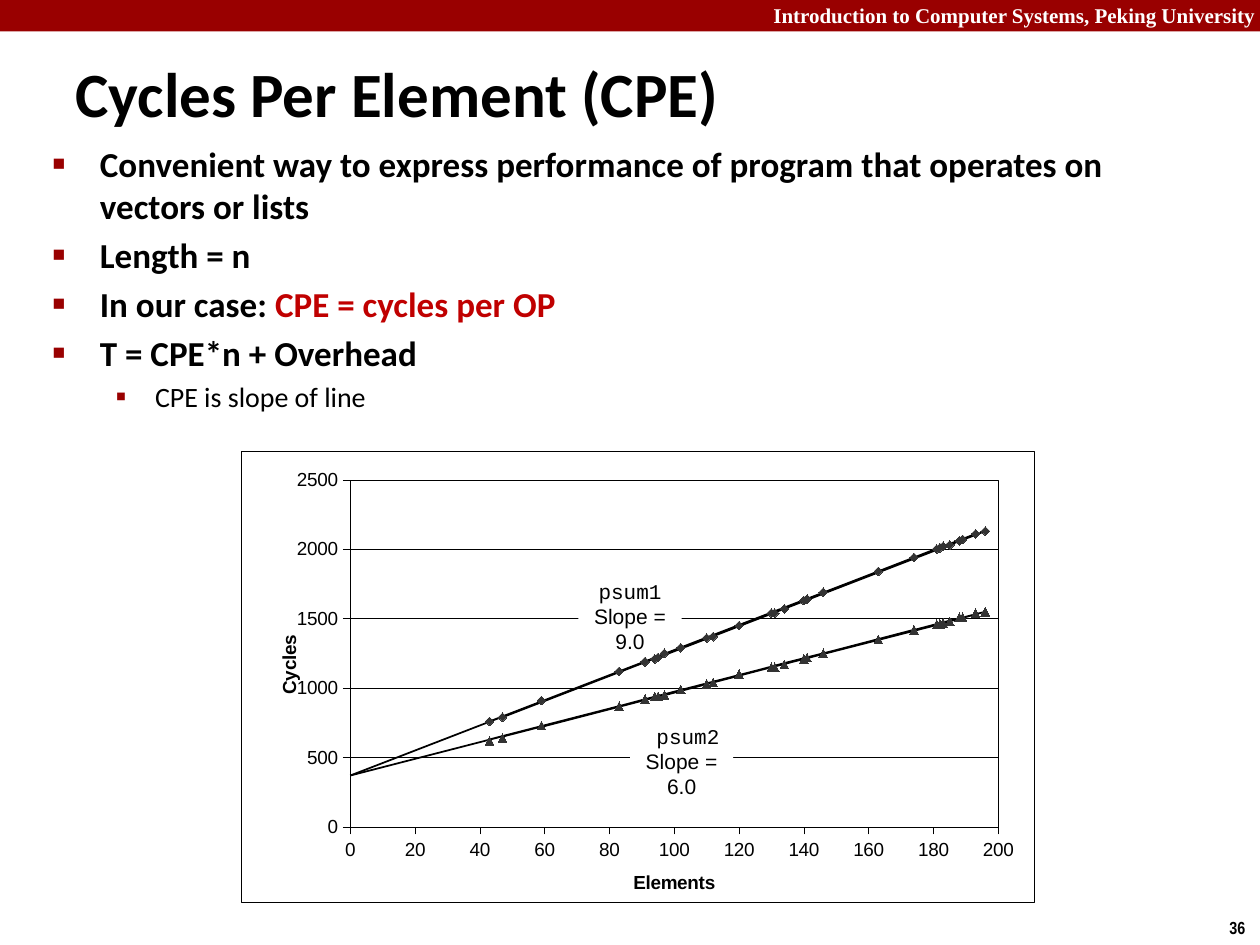
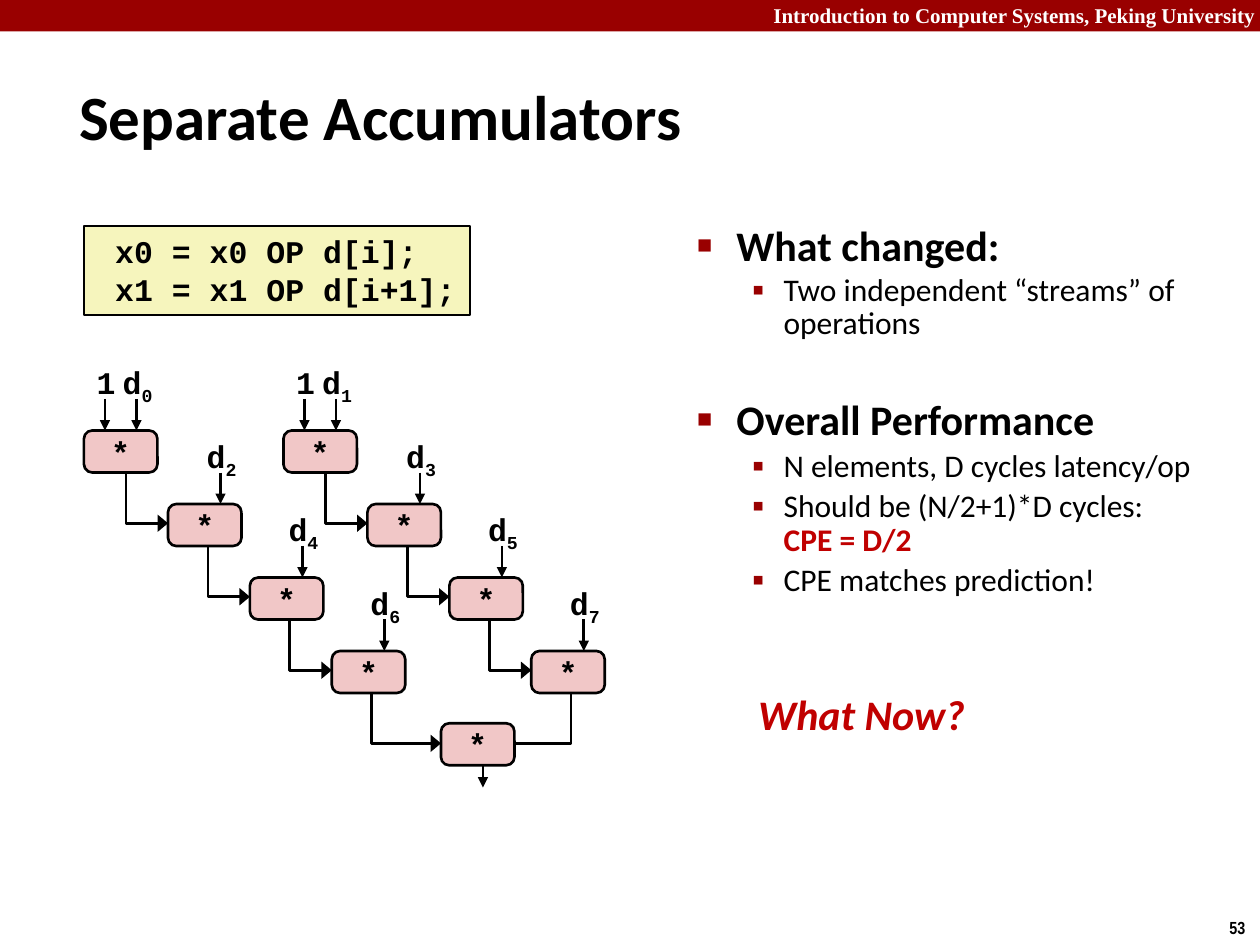
from dataclasses import dataclass
from itertools import pairwise

from lxml.etree import SubElement
from pptx import Presentation
from pptx.chart.data import XyChartData
from pptx.dml.color import RGBColor
from pptx.enum.chart import XL_CHART_TYPE, XL_MARKER_STYLE, XL_TICK_MARK
from pptx.enum.shapes import MSO_CONNECTOR, MSO_SHAPE
from pptx.enum.text import MSO_ANCHOR, PP_ALIGN
from pptx.oxml import parse_xml
from pptx.oxml.ns import nsdecls, qn
from pptx.util import Pt


@dataclass(frozen=True)
class Theme:
    band: str = "990000"
    accent: str = "C00000"
    ink: str = "000000"
    paper: str = "FFFFFF"
    node: str = "F1C7C7"
    code: str = "F6F5BD"
    marker: str = "333333"
    body_font: str = "Calibri"
    code_font: str = "Courier New"
    chart_font: str = "Arial"
    header_font: str = "Times New Roman"
    number_font: str = "Arial Narrow"
    title_size: float = 36
    callout_size: float = 24
    code_size: float = 18
    label_size: float = 12
    number_size: float = 10
    chart_size: float = 10.8


@dataclass(frozen=True)
class Level:
    depth: int
    size: float
    indent: float
    hang: float


T = Theme()
HEADER = "Introduction to Computer Systems, Peking University"
BULLETS = (("■", 60), ("▪", 110))

CPE_LEVELS = (Level(0, 20, 27, 27), Level(1, 16, 58.5, 22.5))
CPE_POINTS = [
    (0, [("Convenient way to express performance of program that operates on vectors or lists", False)], 0, 1),
    (0, [("Length = n", False)], 4, 1),
    (0, [("In our case: ", False), ("CPE = cycles per OP", True)], 4, 1),
    (0, [("T = CPE*n + Overhead", False)], 4, 1),
    (1, [("CPE is slope of line", False)], 3.5, 1),
]

ELEMENTS = (0, 193, 120, 91, 95, 196, 97, 181, 91, 83, 43, 183, 140, 146, 94, 134, 163, 131, 110, 182,
            189, 112, 141, 185, 188, 47, 130, 102, 59, 174)
CYCLES = [
    ("Series 1", XL_MARKER_STYLE.DIAMOND,
     (None, 2110, 1450, 1190, 1220, 2130, 1250, 2000, 1190, 1120, 760, 2020, 1630, 1690, 1210, 1570, 1840,
      1540, 1360, 2010, 2070, 1370, 1640, 2030, 2060, 790, 1540, 1290, 910, 1940)),
    ("Series 2", None,
     (370, 2110, 1450, 1190, 1220, 2130, 1240, 2000, 1190, 1120, 760, 2020, 1630, 1680, 1220, 1580, 1840,
      1550, 1360, 2010, 2070, 1380, 1640, 2040, 2060, 790, 1540, 1290, 900, 1940)),
    ("Series 3", XL_MARKER_STYLE.TRIANGLE,
     (None, 1540, 1100, 920, 940, 1550, 950, 1460, 920, 870, 620, 1470, 1210, 1250, 940, 1170, 1350,
      1150, 1030, 1460, 1510, 1040, 1220, 1480, 1510, 640, 1150, 990, 730, 1420)),
    ("Series 4", None,
     (370, 1530, 1090, 920, 940, 1550, 950, 1460, 920, 870, 630, 1470, 1210, 1250, 930, 1180, 1350,
      1160, 1030, 1460, 1510, 1040, 1220, 1480, 1500, 650, 1150, 980, 720, 1420)),
]
SLOPES = [("psum1", "Slope = 9.0", 330.5, 328.3), (" psum2", "Slope = 6.0", 360, 411.1)]

CODE = (" x0 = x0 OP d[i];", " x1 = x1 OP d[i+1];")
STREAM_LEVELS = (Level(0, 24, 22.5, 22.5), Level(1, 18, 49.5, 18))
STREAM_POINTS = [
    (0, [("What changed:", False)], 0, 0.85),
    (1, [("Two independent “streams” of operations", False)], 3.6, 0.85),
    (0, [("Overall Performance", False)], 34.5, 0.85),
    (1, [("N elements, D cycles latency/op", False)], 3.6, 0.9),
    (1, [("Should be (N/2+1)*D cycles:\n", False), ("CPE = D/2", True)], 3.4, 0.9),
    (1, [("CPE matches prediction!", False)], 3.4, 0.9),
]
CHAINS = [(48, "0246"), (162, "1357")]
NODE_OFFSETS = (0, 48, 94.8, 141.6)
NODE_TOP, NODE_PITCH, NODE_W, NODE_H = 246, 42, 42, 24
MERGE = (252, 413.3)


def rgb(color):
    return RGBColor.from_string(color)


def add_run(p, text, font, size, color=T.ink, bold=True, italic=False):
    r = p.add_run()
    r.text = text
    f = r.font
    f.name, f.size, f.bold, f.italic = font, Pt(size), bold, italic
    f.color.rgb = rgb(color)
    return r


def set_frame(tf, insets=(7.2, 3.6, 7.2, 3.6), wrap=True, anchor=MSO_ANCHOR.TOP):
    tf.margin_left, tf.margin_top, tf.margin_right, tf.margin_bottom = map(Pt, insets)
    tf.word_wrap = wrap
    tf.vertical_anchor = anchor
    return tf


def add_text(s, box, **frame):
    return set_frame(s.shapes.add_textbox(*map(Pt, box)).text_frame, **frame)


def set_line(sp, width=1.5, arrow=None):
    sp.line.color.rgb = rgb(T.ink)
    sp.line.width = Pt(width)
    if arrow:
        SubElement(sp.element.spPr.find(qn("a:ln")), qn("a:tailEnd"), type="triangle", w=arrow)


def add_box(s, box, fill, kind=MSO_SHAPE.RECTANGLE, line=None):
    sp = s.shapes.add_shape(kind, *map(Pt, box))
    sp.shadow.inherit = False
    sp.fill.solid()
    sp.fill.fore_color.rgb = rgb(fill)
    if line:
        set_line(sp, line)
    else:
        sp.line.fill.background()
    return sp


def add_arrow(s, x, top, bottom):
    c = s.shapes.add_connector(MSO_CONNECTOR.STRAIGHT, Pt(x), Pt(top), Pt(x), Pt(bottom))
    set_line(c, arrow="med")
    SubElement(c.element.spPr, qn("a:effectLst"))


def add_elbow(s, x, top, end_x, end_y, arrow="lg"):
    fb = s.shapes.build_freeform(Pt(x), Pt(top))
    fb.add_line_segments([(Pt(x), Pt(end_y)), (Pt(end_x), Pt(end_y))], close=False)
    sp = fb.convert_to_shape()
    sp.shadow.inherit = False
    sp.fill.background()
    set_line(sp, arrow=arrow)


def add_points(s, box, points, levels):
    tf = add_text(s, box)
    for i, (depth, runs, before, spacing) in enumerate(points):
        level = levels[depth]
        p = tf.paragraphs[0] if i == 0 else tf.add_paragraph()
        p.level = depth
        p.space_before = Pt(before)
        p.line_spacing = spacing
        ppr = p._p.get_or_add_pPr()
        ppr.set("marL", str(Pt(level.indent)))
        ppr.set("indent", str(-Pt(level.hang)))
        char, percent = BULLETS[depth]
        SubElement(SubElement(ppr, qn("a:buClr")), qn("a:srgbClr"), val=T.band)
        SubElement(ppr, qn("a:buSzPct"), val=str(percent * 1000))
        SubElement(ppr, qn("a:buFont"), typeface=T.chart_font)
        SubElement(ppr, qn("a:buChar"), char=char)
        for text, strong in runs:
            add_run(p, text.rstrip("\n"), T.body_font, level.size,
                    T.accent if strong else T.ink, strong or depth == 0)
            if text.endswith("\n"):
                p.add_line_break()


def add_slide(prs, title, title_box, number):
    s = prs.slides.add_slide(prs.slide_layouts[6])
    add_box(s, (0, 0, 720, 18), T.band)
    p = add_text(s, (432, 0, 288, 20), insets=(0, 1.4, 2.5, 0)).paragraphs[0]
    p.alignment = PP_ALIGN.RIGHT
    add_run(p, HEADER, T.header_font, T.label_size, T.paper)
    p = add_text(s, (695.5, 520.5, 24.5, 19.4), wrap=False).paragraphs[0]
    add_run(p, number, T.number_font, T.number_size)
    p = add_text(s, title_box, anchor=MSO_ANCHOR.MIDDLE).paragraphs[0]
    add_run(p, title, T.body_font, T.title_size)
    return s


def border_xml(fill):
    return parse_xml(
        f'<c:spPr {nsdecls("c", "a")}>{fill}<a:ln w="3175"><a:solidFill>'
        f'<a:srgbClr val="{T.ink}"/></a:solidFill></a:ln></c:spPr>')


def place(parent, index, **settings):
    for old in parent.findall(qn("c:layout")):
        parent.remove(old)
    layout = parse_xml(f'<c:layout {nsdecls("c")}><c:manualLayout/></c:layout>')
    for tag, val in settings.items():
        SubElement(layout[0], qn(f"c:{tag}"), val=str(val))
    parent.insert(index, layout)


def style_axis(axis, title, top, step, x, y):
    axis.minimum_scale, axis.maximum_scale, axis.major_unit = 0, top, step
    axis.major_tick_mark, axis.minor_tick_mark = XL_TICK_MARK.OUTSIDE, XL_TICK_MARK.NONE
    axis.format.line.color.rgb = rgb(T.ink)
    axis.format.line.width = Pt(0.25)
    add_run(axis.axis_title.text_frame.paragraphs[0], title, T.chart_font, T.chart_size)
    place(axis.axis_title.element, 1, xMode="edge", yMode="edge", x=x, y=y)


def add_cycles_chart(s, box):
    data = XyChartData()
    for name, _, cycles in CYCLES:
        series = data.add_series(name)
        for x, y in zip(ELEMENTS, cycles):
            series.add_data_point(x, y)
    chart = s.shapes.add_chart(XL_CHART_TYPE.XY_SCATTER, *map(Pt, box), data).chart
    root = chart.element
    for pt in root.xpath('.//c:yVal//c:pt[c:v="None" or c:v=""]'):
        pt.getparent().remove(pt)
    chart.has_legend = chart.has_title = False
    chart.font.name, chart.font.size = T.chart_font, Pt(T.chart_size)
    chart.font.color.rgb = rgb(T.ink)
    plot = chart.plots[0]
    plot.vary_by_categories = False
    for series, (_, marker, _) in zip(plot.series, CYCLES):
        series.smooth = False
        line = series.format.line
        if marker:
            line.fill.background()
            series.marker.style, series.marker.size = marker, 5
            series.marker.format.fill.solid()
            series.marker.format.fill.fore_color.rgb = rgb(T.marker)
            series.marker.format.line.color.rgb = rgb(T.marker)
        else:
            series.marker.style = XL_MARKER_STYLE.NONE
            line.color.rgb = rgb(T.ink)
            line.width = Pt(1)
    style_axis(chart.category_axis, "Elements", 200, 20, 0.49, 0.92)
    style_axis(chart.value_axis, "Cycles", 2500, 500, 0.04, 0.4)
    chart.category_axis.has_major_gridlines = False
    chart.value_axis.has_major_gridlines = True
    grid = chart.value_axis.major_gridlines.format.line
    grid.color.rgb, grid.width = rgb(T.ink), Pt(0.25)

    body = root.xpath(".//c:valAx[2]/c:title//a:bodyPr")[0]
    body.set("rot", "-5400000")
    body.set("vert", "horz")
    paper = f'<a:solidFill><a:srgbClr val="{T.paper}"/></a:solidFill>'
    root.find(qn("c:txPr")).addprevious(border_xml(paper))
    area = root.xpath(".//c:plotArea")[0]
    place(area, 0, layoutTarget="inner", xMode="edge", yMode="edge", x=0.137, y=0.063, w=0.818, h=0.77)
    area.append(border_xml("<a:noFill/>"))


def add_label(s, x, y, width, letter, index=""):
    p = add_text(s, (x, y, width, 28.8), insets=(3.6,) * 4, wrap=False).paragraphs[0]
    p.alignment = PP_ALIGN.CENTER
    add_run(p, letter, T.code_font, T.code_size)
    if index:
        r = add_run(p, index, T.code_font, T.code_size)
        r._r.get_or_add_rPr().set("baseline", "-25000")


def add_node(s, x, y):
    sp = add_box(s, (x, y, NODE_W, NODE_H), T.node, MSO_SHAPE.ROUNDED_RECTANGLE, 1.5)
    sp.adjustments[0] = 0.196
    p = set_frame(sp.text_frame, (0, 0, 0, 0), anchor=MSO_ANCHOR.MIDDLE).paragraphs[0]
    p.alignment = PP_ALIGN.CENTER
    add_run(p, "*", T.code_font, T.code_size)


def add_chain(s, left, indices):
    nodes = [(left + dx, NODE_TOP + NODE_PITCH * i) for i, dx in enumerate(NODE_OFFSETS)]
    for (x, y), index in zip(nodes, indices):
        add_node(s, x, y)
        add_arrow(s, x + 30, y - 18, y)
        add_label(s, x + 18, y - 42, 25.2, "d", index)
    add_arrow(s, left + 12, NODE_TOP - 18, NODE_TOP)
    add_label(s, left + 3.6, NODE_TOP - 42, 18, "1")
    for (_, y), (next_x, next_y) in pairwise(nodes):
        add_elbow(s, next_x - 24, y + NODE_H, next_x, next_y + 11)
    last_x, last_y = nodes[-1]
    from_left = last_x < MERGE[0]
    end_x = MERGE[0] if from_left else MERGE[0] + NODE_W
    add_elbow(s, last_x + 22.7, last_y + NODE_H, end_x, MERGE[1] + 11.5, "lg" if from_left else None)


def build_cpe(prs):
    s = add_slide(prs, "Cycles Per Element (CPE)", (36, 30.2, 640.8, 45.4), "36")
    add_points(s, (23, 77.8, 654.5, 119.5), CPE_POINTS, CPE_LEVELS)
    add_cycles_chart(s, (138, 257.8, 453, 258))
    for name, slope, x, y in SLOPES:
        sp = add_box(s, (x, y, 59, 26.6), T.paper)
        tf = set_frame(sp.text_frame, (2.2, 2.2, 2.2, 0))
        for p, text, font in ((tf.paragraphs[0], name, T.code_font),
                              (tf.add_paragraph(), slope, T.chart_font)):
            p.alignment = PP_ALIGN.CENTER
            add_run(p, text, font, T.label_size, bold=False)


def build_accumulators(prs):
    s = add_slide(prs, "Separate Accumulators", (38.2, 36, 597.6, 59.8), "53")
    sp = add_box(s, (48, 129.2, 220.6, 51), T.code, line=1)
    tf = set_frame(sp.text_frame, wrap=False)
    for i, code in enumerate(CODE):
        p = tf.add_paragraph() if i else tf.paragraphs[0]
        p.alignment = PP_ALIGN.LEFT
        add_run(p, code, T.code_font, T.code_size)
    for left, indices in CHAINS:
        add_chain(s, left, indices)
    add_node(s, *MERGE)
    add_arrow(s, MERGE[0] + 24, MERGE[1] + NODE_H, 450)
    add_points(s, (391.2, 126.2, 311, 246.2), STREAM_POINTS, STREAM_LEVELS)
    p = add_text(s, (426.2, 390.2, 134, 36), wrap=False).paragraphs[0]
    add_run(p, "What Now?", T.body_font, T.callout_size, T.accent, italic=True)


def main():
    prs = Presentation()
    prs.slide_width, prs.slide_height = Pt(720), Pt(540)
    build_cpe(prs)
    build_accumulators(prs)
    prs.save("out.pptx")


if __name__ == "__main__":
    main()
